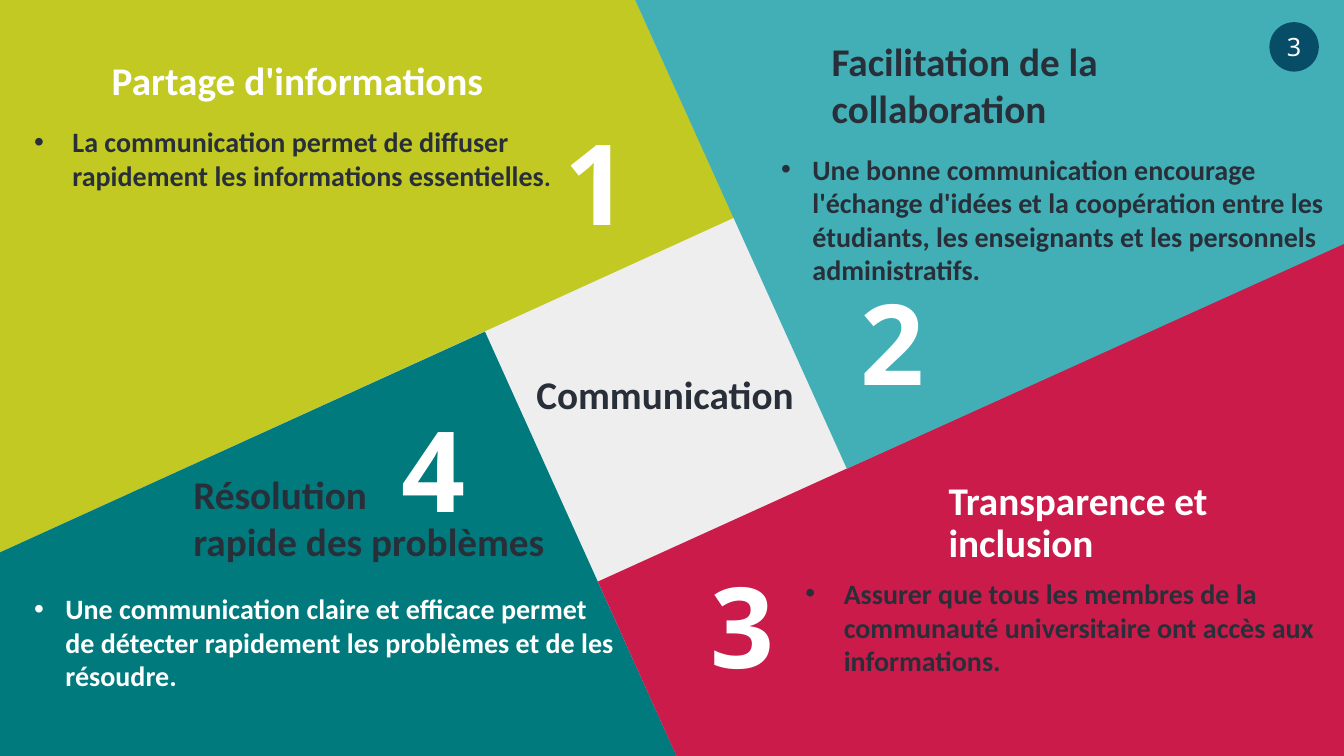
"""Build a slide of four coloured panels about communication."""
from lxml.etree import SubElement
from pptx import Presentation
from pptx.dml.color import RGBColor
from pptx.enum.shapes import MSO_SHAPE as Shape
from pptx.enum.text import MSO_ANCHOR as Anchor, MSO_AUTO_SIZE as AutoSize, PP_ALIGN as Align
from pptx.oxml.ns import qn
from pptx.util import Inches, Pt

LIGHT = RGBColor(0xEE, 0xEE, 0xEE)
LIME = RGBColor(0xC2, 0xC9, 0x23)
TEAL = RGBColor(0x00, 0x7A, 0x7D)
CRIMSON = RGBColor(0xCB, 0x1B, 0x4A)
TURQUOISE = RGBColor(0x42, 0xAF, 0xB6)
NAVY = RGBColor(0x07, 0x4D, 0x67)
WHITE = RGBColor(0xFF, 0xFF, 0xFF)
DARK = RGBColor(0x28, 0x2F, 0x39)

PANELS = [
    (LIME, [(0, 0), (6.3, 0), (7.28, 2.16), (0, 5.48)]),
    (TEAL, [(0, 5.48), (4.81, 3.29), (6.71, 7.5), (0, 7.5)]),
    (CRIMSON, [(5.93, 5.77), (13.33, 2.41), (13.33, 7.5), (6.71, 7.5)]),
    (TURQUOISE, [(6.3, 0), (13.33, 0), (13.33, 2.42), (8.4, 4.65)]),
]
NUMBERS = [(4.95, 1.08), (7.89, 2.66), (6.4, 5.47), (3.33, 3.92)]
HEADINGS = [
    (["Partage d'informations"], (0.65, 0.51, 4.6, 0.57), WHITE,
     {"alignment": Align.CENTER}, {}),
    (["Facilitation de la collaboration"], (8.15, 0.32, 4.44, 1.04), DARK, {}, {}),
    (["Transparence et inclusion"], (9.31, 4.71, 3.57, 0.97), WHITE,
     {"line_spacing": 0.9},
     {"vertical_anchor": Anchor.MIDDLE, "margin_top": Inches(0.1),
      "margin_bottom": Inches(0.1)}),
    (["Résolution", "rapide des problèmes"], (1.82, 4.62, 3.97, 1.04), DARK,
     {"space_after": Pt(0)}, {}),
]
BULLETS = [
    ([("La communication permet de diffuser rapidement les informations essentielles", 20),
      (".", 18)], (0.24, 1.19, 5.48, 0.77), DARK, 0.38),
    ([("Une bonne communication encourage l'échange d'idées et la coopération entre les "
       "étudiants, les enseignants et les personnels administratifs.", 20)],
     (7.65, 1.46, 5.66, 1.45), DARK, 0.31),
    ([("Assurer que tous les membres de la communauté universitaire ont accès aux "
       "informations.", 20)], (7.89, 5.67, 5.29, 1.11), DARK, 0.38),
    ([("Une communication claire et efficace permet de détecter rapidement les problèmes "
       "et de les résoudre.", 20)], (0.24, 5.82, 5.95, 1.11), WHITE, 0.31),
]


def apply(target, values):
    for name, value in values.items():
        setattr(target, name, value)


def add_run(paragraph, text, size, color, font="Calibri", bold=True):
    run = paragraph.add_run()
    run.text = text
    apply(run.font, {"name": font, "size": Pt(size), "bold": bold})
    run.font.color.rgb = color


def add_panel(slide, color, points):
    corners = [(Inches(x), Inches(y)) for x, y in points]
    builder = slide.shapes.build_freeform(*corners[0])
    builder.add_line_segments(corners[1:], close=True)
    panel = builder.convert_to_shape()
    panel.shadow.inherit = False
    panel.fill.solid()
    panel.fill.fore_color.rgb = color
    panel.line.fill.background()


def add_text_frame(slide, box):
    frame = slide.shapes.add_textbox(*map(Inches, box)).text_frame
    frame.word_wrap = True
    return frame


def add_number(slide, number, left, top):
    paragraph = add_text_frame(slide, (left, top, 1.93, 1.45)).paragraphs[0]
    paragraph.alignment = Align.CENTER
    add_run(paragraph, str(number), 80, WHITE, "Open Sans")


def add_heading(slide, lines, box, color, paragraph_format, frame_format):
    frame = add_text_frame(slide, box)
    apply(frame, frame_format)
    for index, line in enumerate(lines):
        paragraph = frame.add_paragraph() if index else frame.paragraphs[0]
        apply(paragraph, {"space_after": Pt(12), **paragraph_format})
        add_run(paragraph, line, 28, color)


def add_bullet(slide, parts, box, color, indent):
    paragraph = add_text_frame(slide, box).paragraphs[0]
    for text, size in parts:
        add_run(paragraph, text, size, color)
    properties = paragraph._p.get_or_add_pPr()
    properties.set("marL", str(Inches(indent)))
    properties.set("indent", str(-Inches(indent)))
    SubElement(properties, qn("a:buFont")).set("typeface", "Arial")
    SubElement(properties, qn("a:buChar")).set("char", "•")


def add_page_badge(slide, number):
    badge = slide.shapes.add_shape(Shape.OVAL, *map(Inches, (12.59, 0.22, 0.49, 0.49)))
    badge.shadow.inherit = False
    badge.fill.solid()
    badge.fill.fore_color.rgb = NAVY
    badge.line.fill.background()
    frame = badge.text_frame
    apply(frame, {"word_wrap": False, "vertical_anchor": Anchor.MIDDLE})
    frame.paragraphs[0].alignment = Align.CENTER
    add_run(frame.paragraphs[0], str(number), 18, WHITE, "Noto Sans", False)


def set_title(slide, text):
    title = slide.shapes.title
    apply(title, dict(zip(("left", "top", "width", "height"),
                          map(Inches, (4.07, 3.62, 5.05, 0.57)))))
    frame = title.text_frame
    apply(frame, {"auto_size": AutoSize.NONE, "vertical_anchor": Anchor.TOP})
    frame.paragraphs[0].alignment = Align.CENTER
    add_run(frame.paragraphs[0], text, 28, DARK)


def main():
    presentation = Presentation()
    apply(presentation, {"slide_width": Inches(13.33), "slide_height": Inches(7.5)})
    slide = presentation.slides.add_slide(presentation.slide_layouts[5])
    slide.background.fill.solid()
    slide.background.fill.fore_color.rgb = LIGHT
    set_title(slide, "Communication")
    for panel in PANELS:
        add_panel(slide, *panel)
    add_page_badge(slide, 3)
    for number, (left, top) in enumerate(NUMBERS, start=1):
        add_number(slide, number, left, top)
    for heading in HEADINGS:
        add_heading(slide, *heading)
    for bullet in BULLETS:
        add_bullet(slide, *bullet)
    presentation.save("out.pptx")


if __name__ == "__main__":
    main()
